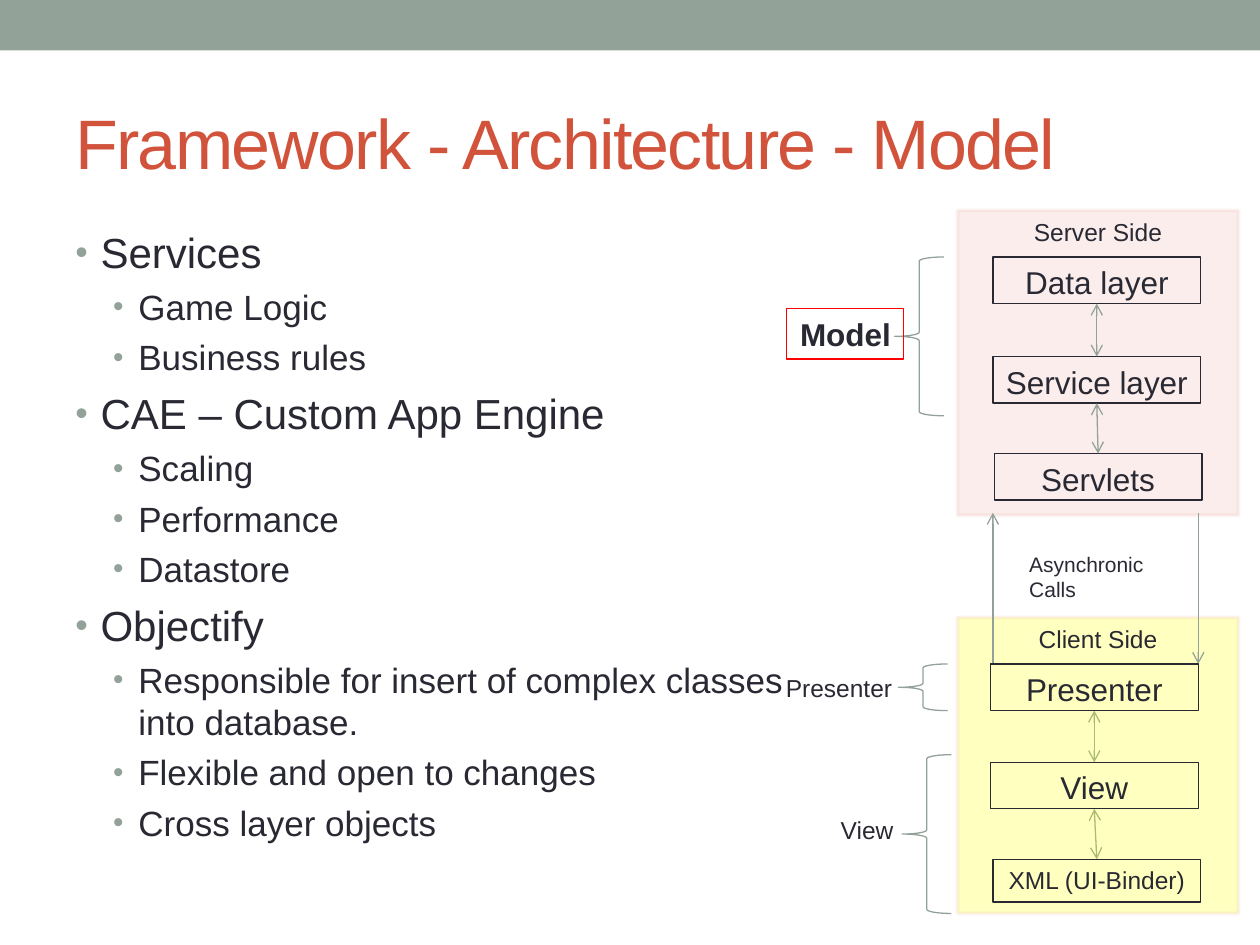
from lxml.etree import SubElement
from pptx import Presentation
from pptx.dml.color import RGBColor
from pptx.enum.shapes import MSO_CONNECTOR, MSO_SHAPE
from pptx.enum.text import MSO_ANCHOR, PP_ALIGN
from pptx.oxml.ns import qn
from pptx.util import Inches, Pt

INK, SAGE, RUST, PINK = "292934", "93A299", "D2533C", "EDBAB1"
LEFT, MID, RIGHT = PP_ALIGN.LEFT, PP_ALIGN.CENTER, PP_ALIGN.RIGHT


def paint(part, hue, alpha=None):
    """Give a fill one solid colour, with its opacity in percent."""
    part.solid()
    part.fore_color.rgb = RGBColor.from_string(hue)
    if alpha:
        tint = part._xPr.find(qn("a:solidFill"))[0]
        SubElement(tint, qn("a:alpha"), val=str(alpha * 1000))


def write(para, text, size=18, hue=INK, bold=False, align=LEFT, track=0):
    para.alignment = align
    run = para.add_run()
    run.text = text
    font = run.font
    font.name, font.size, font.bold = "Arial", Pt(size), bold
    font.color.rgb = RGBColor.from_string(hue)
    if track:
        run._r.get_or_add_rPr().set("spc", str(track * 100))


def bullet(para, left, hang):
    props = para._p.get_or_add_pPr()
    props.set("marL", str(Inches(left)))
    props.set("indent", str(-Inches(hang)))
    tint = SubElement(props, qn("a:buClr"))
    SubElement(tint, qn("a:srgbClr"), val=SAGE)
    SubElement(props, qn("a:buSzPct"), val="85000")
    SubElement(props, qn("a:buFont"), typeface="Arial")
    SubElement(props, qn("a:buChar"), char="•")


class Deck:
    def __init__(self):
        self.prs = Presentation()
        self.prs.slide_width, self.prs.slide_height = Inches(10), Inches(7.5)
        self.slide = self.prs.slides.add_slide(self.prs.slide_layouts[6])
        self.shapes = self.slide.shapes

    def shape(self, at, kind=MSO_SHAPE.RECTANGLE, fill=None, alpha=None,
              line=None, width=0.75, fade=None, text="", wrap=True, **style):
        item = self.shapes.add_shape(kind, *map(Inches, at))
        item.shadow.inherit = False
        if fill:
            paint(item.fill, fill, alpha)
        else:
            item.fill.background()
        if line:
            item.line.width = Pt(width)
            paint(item.line.fill, line, fade)
        else:
            item.line.fill.background()
        if text:
            frame = item.text_frame
            frame.word_wrap = wrap
            frame.vertical_anchor = MSO_ANCHOR.TOP
            write(frame.paragraphs[0], text, **style)
        return item

    def frame(self, at, wrap=True):
        frame = self.shapes.add_textbox(*map(Inches, at)).text_frame
        frame.word_wrap = wrap
        return frame

    def label(self, at, text, anchor=MSO_ANCHOR.TOP, wrap=True, **style):
        frame = self.frame(at, wrap)
        frame.vertical_anchor = anchor
        write(frame.paragraphs[0], text, **style)

    def bullets(self, at, items):
        frame = self.frame(at)
        for i, (level, text) in enumerate(items):
            para = frame.add_paragraph() if i else frame.paragraphs[0]
            size = 20 if level else 24
            para.space_before = Pt(size * 0.24)
            bullet(para, 0.5 if level else 0.2, 0.2)
            write(para, text, size=size)

    def arrow(self, start, end, both=False):
        link = self.shapes.add_connector(
            MSO_CONNECTOR.STRAIGHT, *map(Inches, start + end))
        link.line.width = Pt(0.75)
        paint(link.line.fill, SAGE)
        line = link.line._get_or_add_ln()
        for tag in ("a:headEnd", "a:tailEnd") if both else ("a:tailEnd",):
            SubElement(line, qn(tag), type="arrow")
        SubElement(link._element.spPr, qn("a:effectLst"))
        return link

    def join(self, top, low, under=None):
        """Link two stacked boxes, if asked beneath another shape."""
        link = self.arrow((0, 0), (1, 1), both=True)
        link.begin_connect(top, 2)
        link.end_connect(low, 0)
        if under is not None:
            under.element.addprevious(link.element)

    def save(self):
        self.prs.save("out.pptx")


def main():
    deck = Deck()

    # Top band and title
    deck.shape((0, 0, 10, 0.4), fill=SAGE)
    deck.label((0.5, 0.58, 9, 1.08), "Framework - Architecture - Model",
               anchor=MSO_ANCHOR.MIDDLE, size=40, hue=RUST, track=-1)

    # Bullet list
    deck.bullets((0.5, 1.75, 5.93, 5.33), [
        (0, "Services"),
        (1, "Game Logic"),
        (1, "Business rules"),
        (0, "CAE – Custom App Engine"),
        (1, "Scaling"),
        (1, "Performance"),
        (1, "Datastore"),
        (0, "Objectify"),
        (1, "Responsible for insert of complex classes into database."),
        (1, "Flexible and open to changes"),
        (1, "Cross layer objects"),
    ])

    # Server and client panels
    edge = dict(alpha=25, line=PINK, width=2.08, fade=20, size=14, align=MID)
    deck.shape((7.6, 1.67, 2.23, 2.42), fill=PINK, text="Server Side", **edge)
    client = deck.shape((7.6, 4.9, 2.23, 2.35), fill="FFFF00",
                        text="Client Side", **edge)

    # Calls between the panels
    deck.arrow((9.51, 4.07), (9.51, 5.27))
    deck.arrow((7.88, 5.27), (7.88, 4.07))
    deck.shape((8.07, 4.33, 1.29, 0.35), fill="FFFFFF",
               text="Asynchronic Calls", size=12)

    # Braces and their labels
    for left, top, high in ((7.1, 2.04, 1.26), (7.13, 5.27, 0.37),
                            (7.16, 5.99, 1.26)):
        deck.shape((left, top, 0.39, high), MSO_SHAPE.LEFT_BRACE, line=SAGE)
    deck.shape((6.24, 2.45, 0.93, 0.4), line="FF0000", text="Model",
               wrap=False, bold=True, align=RIGHT)
    for at, text in (((6.13, 5.29, 1.05, 0.34), "Presenter"),
                     ((6.54, 6.42, 0.65, 0.34), "View")):
        deck.label(at, text, wrap=False, size=14, align=RIGHT)

    # Layer boxes, each joined to the next one down
    stacks = (
        (None, ((7.88, 2.04, 0.37, "Data layer", 18),
                (7.88, 2.83, 0.37, "Service layer", 18),
                (7.89, 3.6, 0.37, "Servlets", 18))),
        (client, ((7.86, 5.27, 0.37, "Presenter", 18),
                  (7.86, 6.05, 0.37, "View", 18),
                  (7.88, 6.82, 0.34, "XML (UI-Binder)", 14))),
    )
    for panel, rows in stacks:
        boxes = [deck.shape((left, top, 1.65, high), line=INK, text=text,
                            size=size, align=MID)
                 for left, top, high, text, size in rows]
        for top, low in zip(boxes, boxes[1:]):
            deck.join(top, low, under=panel)

    deck.save()


if __name__ == "__main__":
    main()
